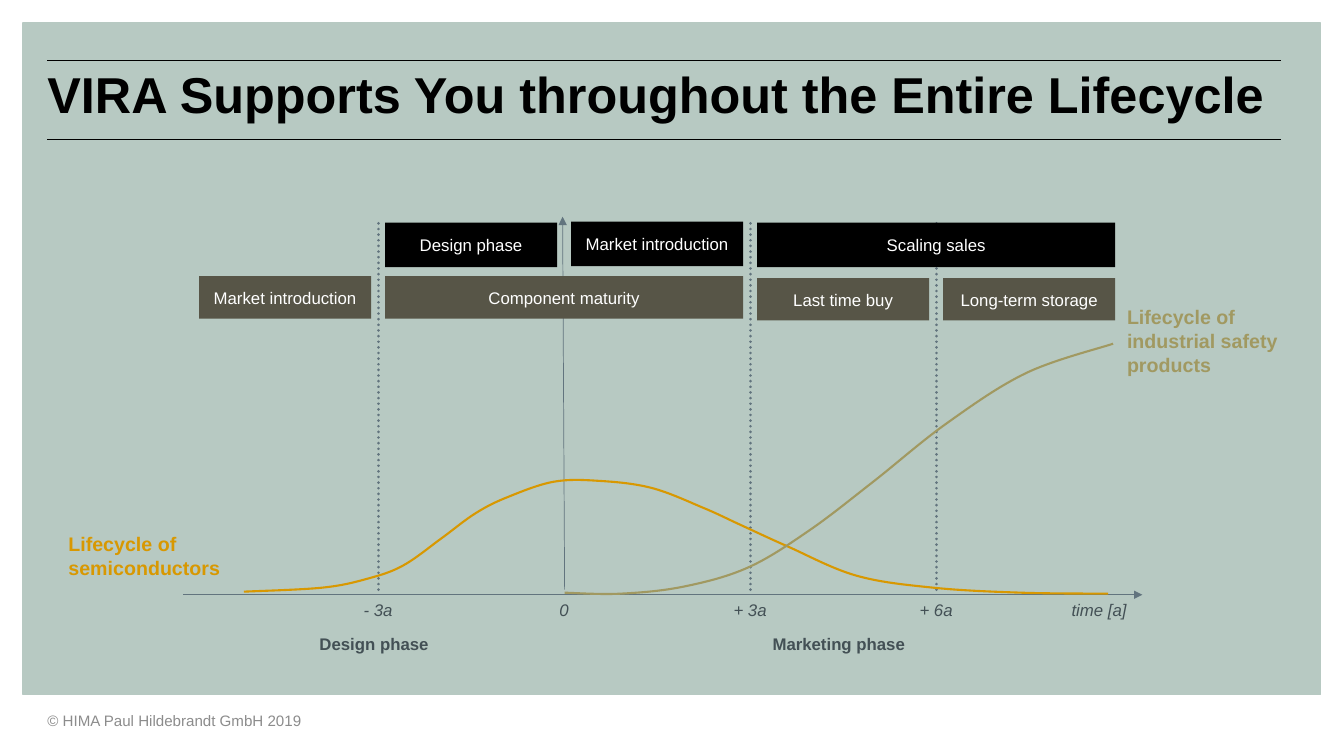
from lxml.etree import SubElement
from pptx import Presentation
from pptx.dml.color import RGBColor
from pptx.enum.dml import MSO_LINE
from pptx.enum.shapes import MSO_CONNECTOR, MSO_SHAPE
from pptx.enum.text import MSO_ANCHOR, PP_ALIGN
from pptx.oxml.ns import qn
from pptx.util import Inches, Pt

HUES = {
    "panel": "B7C9C2", "black": "000000", "white": "FFFFFF", "brown": "575547",
    "axis": "62747E", "label": "435055", "gold": "D89801", "sand": "A19961",
    "gray": "8C8C8C",
}
CELL = 0.1
ZERO, STEP, BASE = 55.95, 18.45, 59
GAP = 0.7

CHIPS = [
    ("Component maturity", -1, 2, 27.4, 4.2, "brown"),
    ("Design phase", -1, 1, 22.1, 4.4, "black"),
    ("Market introduction", 0, 1, 22, 4.4, "black"),
    ("Scaling sales", 1, 2, 22.1, 4.4, "black"),
    ("Last time buy", 1, 1, 27.6, 4.2, "brown"),
    ("Long-term storage", 2, 1, 27.6, 4.2, "brown"),
    ("Market introduction", -2, 1, 27.4, 4.2, "brown"),
]
TICKS = [("- 3a", -1), ("0", 0), ("+ 3a", 1), ("+ 6a", 2)]
PARTS = [
    (24.2, 58.7), (32, 58.3), (36.5, 57.4), (40, 56.1), (43.8, 53.4), (47.2, 50.9),
    (50.4, 49.3), (54.9, 47.8), (59.3, 47.7), (64.6, 48.4), (69.8, 50.4), (73.5, 52.1),
    (78.1, 54.2), (84.9, 57.1), (92.5, 58.3), (101.2, 58.8), (109.9, 58.9),
]
GOODS = [
    (56, 58.8), (61.5, 58.9), (67.8, 58.2), (74.2, 56.3), (80.3, 52.6),
    (86.6, 47.8), (93.9, 42), (101.8, 37), (110.4, 34.1),
]


def cells(count):
    return Inches(count * CELL)


def tone(name):
    return RGBColor.from_string(HUES[name])


def mark(year):
    return ZERO + year * STEP


def shift(spot, start, end):
    return tuple(s + (b - a) / 6 for s, a, b in zip(spot, start, end))


def handles(knots):
    ends = [knots[0], *knots, knots[-1]]
    for a, b, c, d in zip(ends, ends[1:], ends[2:], ends[3:]):
        yield from (shift(b, a, c), shift(c, d, b), c)


def inset(host, pads, anchor):
    (host.margin_left, host.margin_top,
     host.margin_right, host.margin_bottom) = map(cells, pads)
    host.vertical_anchor = anchor


def write(frame, text, size=12, hue="label", bold=False, slant=False,
          align=PP_ALIGN.LEFT):
    line = frame.paragraphs[0]
    line.text = text
    line.alignment = align
    for run in line.runs:
        font = run.font
        font.name, font.size = "Arial", Pt(size)
        font.bold, font.italic = bold, slant
        font.color.rgb = tone(hue)


class Board:
    def __init__(self, deck):
        self.slide = deck.slides.add_slide(deck.slide_layouts[6])
        self.shapes = self.slide.shapes

    def block(self, left, top, wide, high, hue, edge=0):
        shape = self.shapes.add_shape(
            MSO_SHAPE.RECTANGLE, *map(cells, (left, top, wide, high)))
        shape.shadow.inherit = False
        shape.fill.solid()
        shape.fill.fore_color.rgb = tone(hue)
        if edge:
            shape.line.color.rgb = tone(hue)
            shape.line.width = Pt(edge)
        else:
            shape.line.fill.background()
        return shape

    def chip(self, text, year, span, top, high, hue):
        shape = self.block(mark(year) + GAP, top, span * STEP - 2 * GAP, high, hue)
        shape.text_frame.word_wrap = True
        shape.text_frame.vertical_anchor = MSO_ANCHOR.MIDDLE
        write(shape.text_frame, text, hue="white", align=PP_ALIGN.CENTER)

    def label(self, text, left, top, wide, high, pads=(1, 0.5, 1, 0.5),
              anchor=MSO_ANCHOR.TOP, wrap=True, **style):
        frame = self.shapes.add_textbox(*map(cells, (left, top, wide, high))).text_frame
        frame.word_wrap = wrap
        inset(frame, pads, anchor)
        write(frame, text, **style)

    def title(self, text, left, top, wide, high):
        holder = self.shapes.add_table(1, 1, *map(cells, (left, top, wide, high)))
        table = holder.table
        table.first_row = table.horz_banding = False
        cell = table.cell(0, 0)
        inset(cell, (0, 0.7, 0, 1.1), MSO_ANCHOR.TOP)
        write(cell.text_frame, text, size=36, hue="black", bold=True)
        props = next(holder.element.iter(qn("a:tcPr")))
        for side in "LRTB":
            edge = SubElement(props, qn(f"a:ln{side}"), w=str(Pt(1)))
            if side in "TB":
                paint = SubElement(edge, qn("a:solidFill"))
                SubElement(paint, qn("a:srgbClr"), val=HUES["black"])
            else:
                SubElement(edge, qn("a:noFill"))
        cell.fill.background()

    def rule(self, start, end, width, dots=False, arrow=False):
        rule = self.shapes.add_connector(
            MSO_CONNECTOR.STRAIGHT, *map(cells, (*start, *end)))
        rule.line.color.rgb = tone("axis")
        rule.line.width = Pt(width)
        props = rule.element.spPr
        edge = props.find(qn("a:ln"))
        if dots:
            rule.line.dash_style = MSO_LINE.ROUND_DOT
            edge.set("cap", "rnd")
        if arrow:
            SubElement(edge, qn("a:tailEnd"), type="triangle")
        SubElement(props, qn("a:effectLst"))

    def curve(self, knots, hue):
        pen = self.shapes.build_freeform(*map(cells, knots[0]))
        pen.add_line_segments(
            [tuple(map(cells, spot)) for spot in handles(knots)], close=False)
        shape = pen.convert_to_shape()
        shape.shadow.inherit = False
        shape.fill.background()
        shape.line.color.rgb = tone(hue)
        shape.line.width = Pt(1.5)
        trace = next(shape.element.iter(qn("a:path")))
        steps = trace.findall(qn("a:lnTo"))
        for trio in zip(steps[::3], steps[1::3], steps[2::3]):
            bend = SubElement(trace, qn("a:cubicBezTo"))
            for step in trio:
                bend.append(step[0])
                trace.remove(step)


def main():
    deck = Presentation()
    deck.slide_width, deck.slide_height = Inches(13.33), Inches(7.5)
    board = Board(deck)

    board.block(2.3, 2.3, 128.7, 66.6, "panel", edge=1)
    board.label("© HIMA Paul Hildebrandt GmbH 2019", 4.7, 69.5, 102.7, 4, size=10.8,
                hue="gray", anchor=MSO_ANCHOR.MIDDLE, pads=(0, 0, 0, 0))
    board.label("Lifecycle of \nindustrial safety \nproducts", 110.8, 29.8, 18.3, 8.1,
                size=14, hue="sand", bold=True)

    board.rule((18.2, BASE), (113.3, BASE), 0.5, arrow=True)
    board.rule((56, 58.5), (55.8, 21.5), 0.5, arrow=True)
    board.label("time [a]", 105.3, BASE, 16, 3, slant=True)
    for text, year in TICKS:
        if year:
            board.rule((mark(year), 58.5), (mark(year), 21.8), 2, dots=True)
        board.label(text, mark(year) - 8, BASE, 16, 3, slant=True, align=PP_ALIGN.CENTER)

    board.curve(PARTS, "gold")
    board.curve(GOODS, "sand")
    board.label("Lifecycle of \nsemiconductors", 5.8, 52.3, 17.1, 5.7,
                size=14, hue="gold", bold=True, wrap=False)

    for chip in CHIPS:
        board.chip(*chip)
    for text, left, wide in (("Design phase", 18.2, 37.8), ("Marketing phase", 56, 54.4)):
        board.label(text, left, 62.4, wide, 3, bold=True, align=PP_ALIGN.CENTER)
    board.title("VIRA Supports You throughout the Entire Lifecycle", 4.7, 6, 122.4, 7.8)

    deck.save("out.pptx")


if __name__ == "__main__":
    main()
